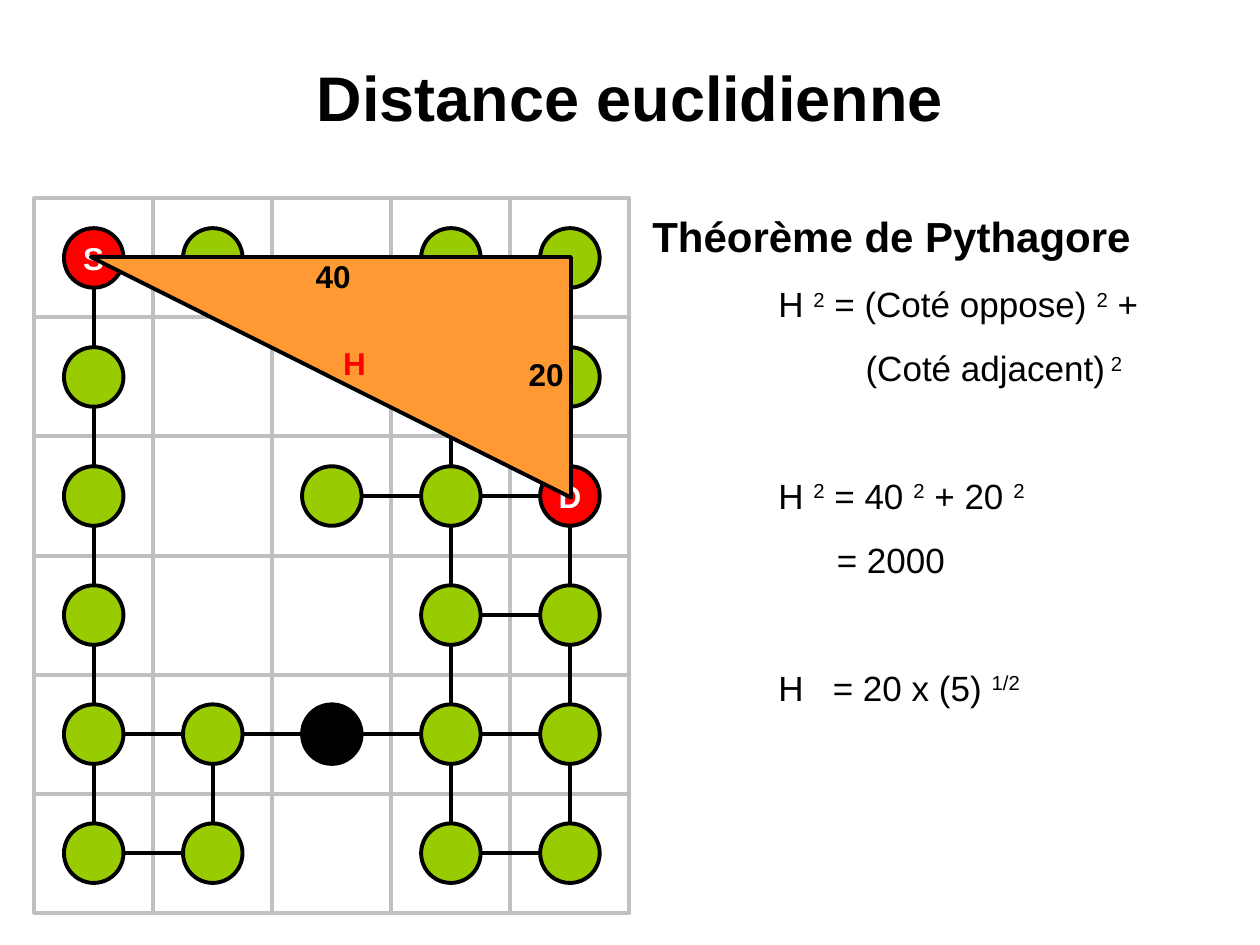
from dataclasses import dataclass

from lxml import etree
from pptx import Presentation
from pptx.dml.color import RGBColor
from pptx.enum.shapes import MSO_CONNECTOR, MSO_SHAPE
from pptx.enum.text import MSO_ANCHOR, MSO_AUTO_SIZE, PP_ALIGN
from pptx.oxml.ns import qn
from pptx.util import Cm, Pt

RECTANGLE = MSO_SHAPE.RECTANGLE
ELLIPSE = MSO_SHAPE.OVAL
RIGHT_TRIANGLE = MSO_SHAPE.RIGHT_TRIANGLE
STRAIGHT = MSO_CONNECTOR.STRAIGHT
LEFT, CENTER, RIGHT = PP_ALIGN.LEFT, PP_ALIGN.CENTER, PP_ALIGN.RIGHT
MIDDLE = MSO_ANCHOR.MIDDLE
FIT_SHAPE = MSO_AUTO_SIZE.SHAPE_TO_FIT_TEXT
TITLE_ONLY = 5

FONT = "Arial"
BLACK, WHITE, GREY = "000000", "FFFFFF", "C0C0C0"
RED, GREEN, ORANGE = "FF0000", "99CC00", "FF9933"
LINE_WIDTH = 2.25

# Lengths in centimetres
GRID_LEFT, GRID_TOP, CELL, NODE = 0.69, 4.0, 2.4, 1.2
COLUMNS, ROWS = 5, 6
NODE_MAP = ("S#.##", "#..##", "#.##D", "#..##", "##X##", "##.##")
NODE_FILLS = {"#": GREEN, "S": RED, "D": RED, "X": BLACK}


@dataclass(frozen=True)
class Label:
    text: str
    left: float
    top: float
    align: PP_ALIGN = CENTER
    color: str = BLACK


@dataclass(frozen=True)
class Line:
    """A line of the proof; parts between carets are superscripts."""
    text: str
    tabs: tuple[float, ...] = ()
    before: float = 12.5
    size: float = 20
    bold: bool = False


LABELS = (
    Label("40", 5.56, 5.05),
    Label("H", 5.99, 6.81, color=RED),
    Label("20", 9.3, 7.04, align=RIGHT),
)

INDENT = 2.54
NEW_STEP = 49  # space before a new step of the proof, in points
PROOF = (
    Line("Théorème de Pythagore", before=0, size=24, bold=True),
    Line("\tH ^2^ = (Coté oppose) ^2^ +", (INDENT,)),
    Line("\t(Coté adjacent)^ 2^", (4.3,)),
    Line("\tH ^2^ = 40 ^2^ + 20 ^2^", (INDENT,), NEW_STEP),
    Line("\t= 2000", (3.72,)),
    Line("\tH\t= 20 x (5) ^1/2^", (INDENT, 3.64), NEW_STEP),
)


def rgb(color: str) -> RGBColor:
    return RGBColor.from_string(color)


def write(para, text: str, *, size: float, color: str = BLACK,
          bold: bool = True, align: PP_ALIGN = LEFT) -> None:
    """Fill a paragraph, raising every part that stands between carets."""
    para.alignment = align
    for index, part in enumerate(text.split("^")):
        if not part:
            continue
        span = para.add_run()
        span.text = part
        span.font.name = FONT
        span.font.size = Pt(size)
        span.font.bold = bold
        span.font.color.rgb = rgb(color)
        if index % 2:
            span._r.get_or_add_rPr().set("baseline", "30000")


def set_tabs(para, positions: tuple[float, ...]) -> None:
    tab_list = etree.SubElement(para._p.get_or_add_pPr(), qn("a:tabLst"))
    for position in positions:
        etree.SubElement(tab_list, qn("a:tab"), pos=str(Cm(position)), algn="l")


def add_outlined(page, kind: MSO_SHAPE, left: float, top: float, width: float,
                 height: float, *, line: str = BLACK, fill: str | None = None):
    shape = page.shapes.add_shape(kind, Cm(left), Cm(top), Cm(width), Cm(height))
    shape.shadow.inherit = False
    shape.line.color.rgb = rgb(line)
    shape.line.width = Pt(LINE_WIDTH)
    if fill:
        shape.fill.solid()
        shape.fill.fore_color.rgb = rgb(fill)
    else:
        shape.fill.background()
    return shape


def add_text_box(page, left: float, top: float, width: float, height: float):
    box = page.shapes.add_textbox(Cm(left), Cm(top), Cm(width), Cm(height))
    box.text_frame.word_wrap = True
    box.text_frame.auto_size = FIT_SHAPE
    return box


def cell_center(column: int, row: int) -> tuple[float, float]:
    return GRID_LEFT + (column + 0.5) * CELL, GRID_TOP + (row + 0.5) * CELL


def has_node(column: int, row: int) -> bool:
    return column < COLUMNS and row < ROWS and NODE_MAP[row][column] != "."


def add_node(page, column: int, row: int) -> None:
    mark = NODE_MAP[row][column]
    x, y = cell_center(column, row)
    node = add_outlined(page, ELLIPSE, x - NODE / 2, y - NODE / 2, NODE, NODE,
                        fill=NODE_FILLS[mark])
    if mark in "SD":
        frame = node.text_frame
        frame.word_wrap = False
        frame.vertical_anchor = MIDDLE
        write(frame.paragraphs[0], mark, size=18, color=WHITE, align=CENTER)


def add_link(page, column: int, row: int, right: int, down: int) -> None:
    """Link a node's edge to its neighbour one step right or down."""
    x, y = cell_center(column, row)
    start, end = NODE / 2, CELL - NODE / 2
    link = page.shapes.add_connector(
        STRAIGHT, Cm(x + right * start), Cm(y + down * start),
        Cm(x + right * end), Cm(y + down * end))
    link.line.color.rgb = rgb(BLACK)
    link.line.width = Pt(LINE_WIDTH)
    etree.SubElement(link._element.spPr, qn("a:effectLst"))


def add_graph(page) -> None:
    cells = [(column, row) for column in range(COLUMNS) for row in range(ROWS)]
    for column, row in cells:
        add_outlined(page, RECTANGLE, GRID_LEFT + column * CELL,
                     GRID_TOP + row * CELL, CELL, CELL, line=GREY)
    nodes = [cell for cell in cells if has_node(*cell)]
    for column, row in nodes:
        add_node(page, column, row)
    for column, row in nodes:
        for right, down in ((1, 0), (0, 1)):
            if has_node(column + right, row + down):
                add_link(page, column, row, right, down)


def add_proof(page) -> None:
    frame = add_text_box(page, 12.9, 4.12, 11.81, 10.29).text_frame
    for index, line in enumerate(PROOF):
        para = frame.add_paragraph() if index else frame.paragraphs[0]
        para.space_before = Pt(line.before)
        write(para, line.text, size=line.size, bold=line.bold)
        if line.tabs:
            set_tabs(para, line.tabs)


def main() -> None:
    deck = Presentation()
    deck.slide_width, deck.slide_height = Cm(25.4), Cm(19.05)
    page = deck.slides.add_slide(deck.slide_layouts[TITLE_ONLY])

    title = page.shapes.title
    title.left, title.top = Cm(1.27), Cm(0.76)
    title.width, title.height = Cm(22.86), Cm(2.36)
    title.text_frame.vertical_anchor = MIDDLE
    write(title.text_frame.paragraphs[0], "Distance euclidienne", size=36,
          align=CENTER)

    add_graph(page)
    triangle = add_outlined(page, RIGHT_TRIANGLE, 1.83, 5.18, 9.68, 4.85,
                            fill=ORANGE)
    triangle.rotation = 180
    for label in LABELS:
        box = add_text_box(page, label.left, label.top, 2.31, 1.02)
        write(box.text_frame.paragraphs[0], label.text, size=18,
              color=label.color, align=label.align)
    add_proof(page)
    deck.save("out.pptx")


if __name__ == "__main__":
    main()
